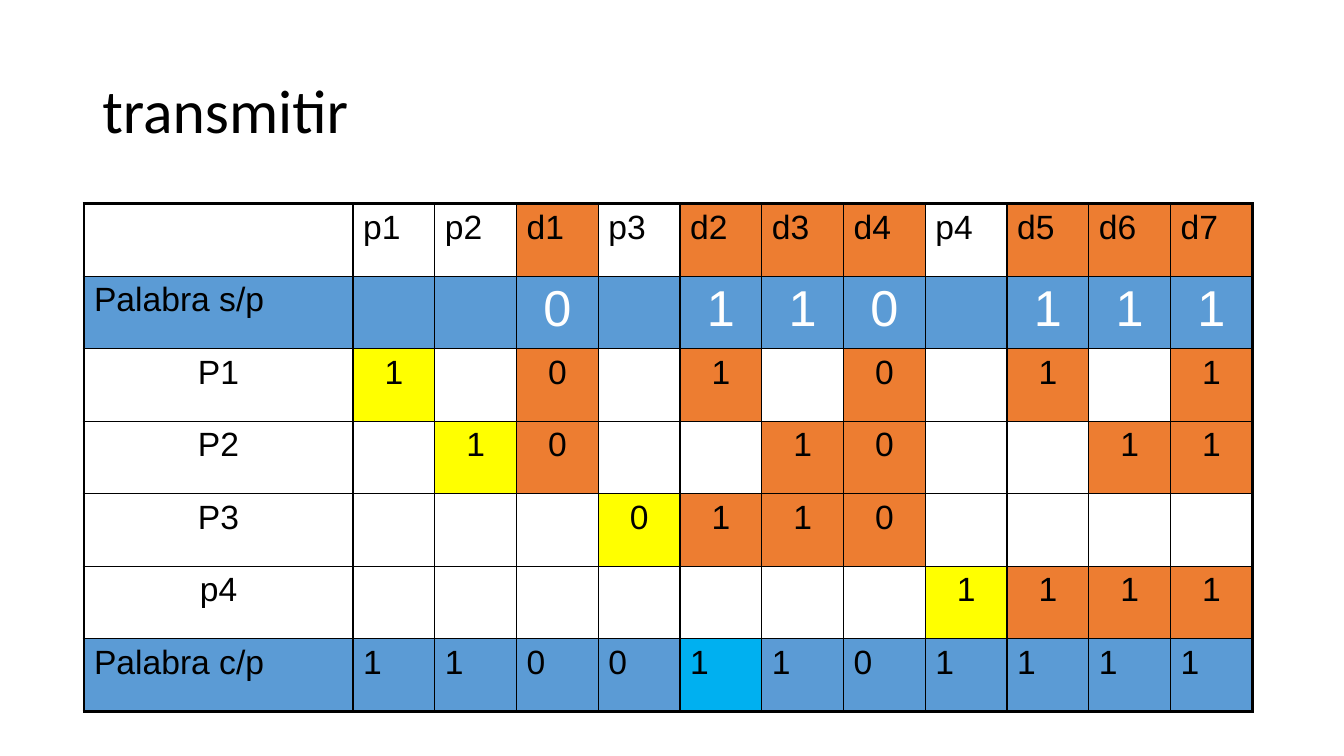
import dataclasses

import pptx
import pptx.dml.color
import pptx.enum.text
import pptx.oxml.ns
import pptx.util
from lxml import etree

Pt = pptx.util.Pt
ALIGN = pptx.enum.text.PP_ALIGN

HUES = {
    "ink": "000000",
    "plain": "FFFFFF",
    "data": "ED7D31",
    "word": "5B9BD5",
    "parity": "FFFF00",
    "mark": "00B0F0",
}
LEFT, TOP = 60, 145.5
FIRST, WIDE, TALL = 192.2, 58.4, 51.8
THIN, THICK = 1, 2.25
MARKED = (6, 5)


@dataclasses.dataclass
class Row:
    """One table row: label, bits (a dot is an empty cell) and text style."""
    label: str
    bits: list[str]
    kind: str = "check"
    center: bool = True
    size: float = 24
    ink: str = "ink"


NAMES = "p1 p2 d1 p3 d2 d3 d4 p4 d5 d6 d7".split()
ROWS = [
    Row("", NAMES, "head", center=False),
    Row("Palabra s/p", list("..0.110.111"), "word", size=36, ink="plain"),
    Row("P1", list("1.0.1.0.1.1")),
    Row("P2", list(".10..10..11")),
    Row("P3", list("...0110....")),
    Row("p4", list(".......1111")),
    Row("Palabra c/p", list("11001101111"), "word", center=False),
]


def color(name: str) -> pptx.dml.color.RGBColor:
    """Look up a named colour."""
    return pptx.dml.color.RGBColor.from_string(HUES[name])


def write(frame, text: str, face: str, size: float, ink: str, align=ALIGN.LEFT):
    """Write one styled paragraph and return it."""
    para = frame.paragraphs[0]
    para.text = text
    para.alignment = align
    para.font.name = face
    para.font.size = Pt(size)
    para.font.color.rgb = color(ink)
    return para


def edge(cell, side: str, width: float) -> None:
    """Draw one solid border of a cell."""
    name = pptx.oxml.ns.qn
    line = etree.SubElement(cell._tc.get_or_add_tcPr(), name(f"a:ln{side}"),
                            w=str(Pt(width)))
    fill = etree.SubElement(line, name("a:solidFill"))
    etree.SubElement(fill, name("a:srgbClr"), val=HUES["ink"])


def shade(row: Row, text: str, spot: tuple[int, int]) -> str:
    """Choose the fill of a cell from its row, column and text."""
    if spot == MARKED:
        return "mark"
    if row.kind == "word":
        return "word"
    if spot[1] == 0 or not text:
        return "plain"
    if NAMES[spot[1] - 1].startswith("d"):
        return "data"
    return "plain" if row.kind == "head" else "parity"


def paint(cell, row: Row, text: str, spot: tuple[int, int]) -> None:
    """Border, fill and write one cell."""
    down, across = spot
    outer = {"L": across == 0, "R": across == len(NAMES),
             "T": down == 0, "B": down == len(ROWS) - 1}
    for side, thick in outer.items():
        edge(cell, side, THICK if thick else THIN)
    cell.fill.solid()
    cell.fill.fore_color.rgb = color(shade(row, text, spot))
    if not text:
        return
    if across == 0:
        center, size, ink = row.kind == "check", 24, "ink"
    else:
        center, size, ink = row.center, row.size, row.ink
    write(cell.text_frame, text, "Arial", size, ink,
          ALIGN.CENTER if center else ALIGN.LEFT)


def title(slide) -> None:
    """Add the slide title."""
    frame = slide.shapes.add_textbox(Pt(66), Pt(29), Pt(828), Pt(104)).text_frame
    frame.word_wrap = True
    frame.vertical_anchor = pptx.enum.text.MSO_ANCHOR.MIDDLE
    write(frame, "transmitir", "Calibri", 44, "ink").line_spacing = 0.9


def grid(slide) -> None:
    """Add the parity table."""
    count = len(NAMES) + 1
    table = slide.shapes.add_table(
        len(ROWS), count, Pt(LEFT), Pt(TOP),
        Pt(FIRST + WIDE * len(NAMES)), Pt(TALL * len(ROWS))).table
    table.first_row = table.horz_banding = False
    for across, column in enumerate(table.columns):
        column.width = Pt(WIDE if across else FIRST)
    for down, row in enumerate(ROWS):
        table.rows[down].height = Pt(TALL)
        for across, text in enumerate([row.label, *row.bits]):
            paint(table.cell(down, across), row, text.strip("."), (down, across))


deck = pptx.Presentation()
deck.slide_width, deck.slide_height = Pt(960), Pt(540)
page = deck.slides.add_slide(deck.slide_layouts[6])
title(page)
grid(page)
deck.save("out.pptx")
